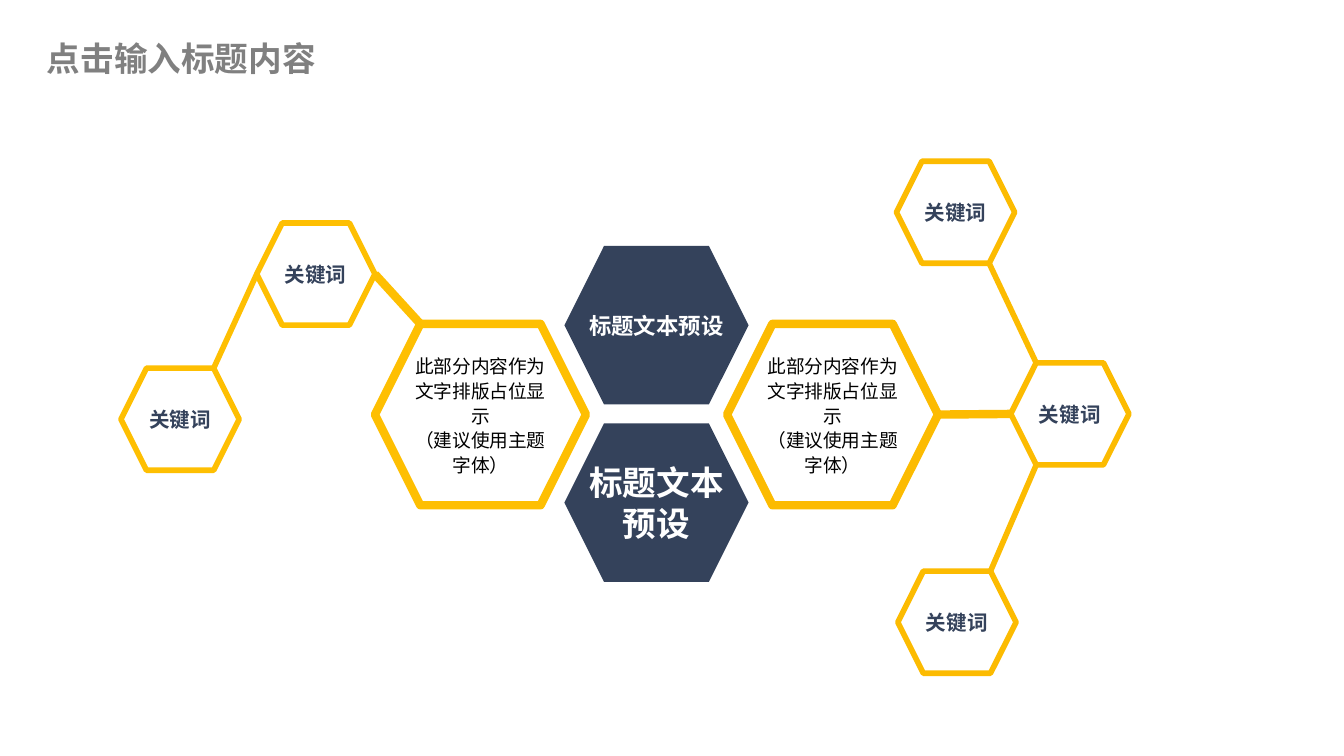
from typing import NamedTuple

from lxml import etree
from pptx import Presentation
from pptx import util as u
from pptx.dml.color import RGBColor
from pptx.enum import shapes, text
from pptx.oxml.ns import qn

WIDE, HIGH = 10, 5.625
HEX = {"navy": "34425B", "gold": "FEBF02", "amber": "FCBB01",
       "white": "FFFFFF", "black": "000000", "grey": "808080"}
NOTE = "此部分内容作为文字排版占位显示\n（建议使用主题字体）"
WORD = "关键词"


class Style(NamedTuple):
    """Size is a percentage of the slide; pad is left, top, right, bottom in inches."""
    wide: float
    high: float
    fill: str | None
    ink: str
    font: dict
    edge: float = 0
    wrap: bool = False
    pad: tuple = (0, 0, 0, 0)
    lead: float | None = None
    align: text.PP_ALIGN = text.PP_ALIGN.CENTER


class Cell(NamedTuple):
    """Left and top are percentages of the slide."""
    left: float
    top: float
    label: str
    style: Style
    edge: str = "gold"


class Link(NamedTuple):
    """Joins a corner of one cell to a corner of another."""
    start: str
    exit: str
    end: str
    entry: str
    width: float


def face(size: float, bold: bool = True, name: str = "Calibri") -> dict:
    return {"size": u.Pt(size), "bold": bold, "name": name}


HEAD = Style(13.7, 20.98, "navy", "white", face(12), pad=(0.1, 0.05, 0.1, 0.05))
LEAD = HEAD._replace(font=face(18), pad=(0, 0, 0, 0))
BODY = Style(15.7, 24, "white", "black", face(10, False), 4.5, wrap=True, lead=1.1)
KEY = Style(8.8, 13.51, "white", "navy", face(11), 3)
TITLE = Style(23.3, 7.47, None, "grey", face(18, name="Noto Sans CJK SC"), wrap=True,
              pad=(0, 0.05, 0, 0.05), align=text.PP_ALIGN.LEFT)

CELLS = {
    "upper": Cell(42, 32.53, "标题文本预设", HEAD),
    "lower": Cell(42, 56, "标题文本\n预设", LEAD),
    "west": Cell(27.9, 42.84, NOTE, BODY),
    "near": Cell(19.1, 29.51, WORD, KEY),
    "far": Cell(9, 48.71, WORD, KEY),
    "east": Cell(54.1, 42.84, NOTE, BODY, "amber"),
    "hub": Cell(75.2, 48, WORD, KEY, "amber"),
    "top": Cell(66.7, 21.33, WORD, KEY, "amber"),
    "base": Cell(66.8, 75.56, WORD, KEY, "amber"),
}
LINKS = [
    Link("far", "top right", "near", "left", 3),
    Link("near", "right", "west", "top left", 4.5),
    Link("east", "right", "hub", "left", 4.5),
    Link("top", "low right", "hub", "top left", 3),
    Link("base", "top right", "hub", "low left", 3),
]


def color(name: str) -> RGBColor:
    return RGBColor.from_string(HEX[name])


def across(share: float) -> u.Emu:
    return u.Inches(WIDE * share / 100)


def down(share: float) -> u.Emu:
    return u.Inches(HIGH * share / 100)


def frame(cell: Cell) -> tuple:
    return (across(cell.left), down(cell.top),
            across(cell.style.wide), down(cell.style.high))


def corner(cell: Cell, place: str) -> tuple:
    """Find a hexagon corner; its flat sides start a quarter of the height in."""
    left, top, wide, high = frame(cell)
    inset = high // 4 if " " in place else 0
    x = left + inset if place.endswith("left") else left + wide - inset
    y = top + {"top": 0, "low": high}.get(place.split()[0], high // 2)
    return x, y


def write(shape, label: str, style: Style) -> None:
    box = shape.text_frame
    sides = ("margin_left", "margin_top", "margin_right", "margin_bottom")
    form = dict(zip(sides, map(u.Inches, style.pad)))
    form |= {"word_wrap": style.wrap, "vertical_anchor": text.MSO_ANCHOR.MIDDLE}
    for key, value in form.items():
        setattr(box, key, value)
    para = box.paragraphs[0]
    para.text = label
    para.alignment = style.align
    para.line_spacing = style.lead
    for run in para.runs:
        for key, value in style.font.items():
            setattr(run.font, key, value)
        run.font.color.rgb = color(style.ink)
    for gap in para._p.findall(qn("a:br")):
        size = int(style.font["size"].pt * 100)
        etree.SubElement(gap, qn("a:rPr"), sz=str(size))


def draw(tree, cell: Cell) -> None:
    style = cell.style
    shape = tree.add_shape(shapes.MSO_SHAPE.HEXAGON, *frame(cell))
    shape.shadow.inherit = False
    shape.fill.solid()
    shape.fill.fore_color.rgb = color(style.fill)
    if style.edge:
        shape.line.color.rgb = color(cell.edge)
        shape.line.width = u.Pt(style.edge)
    else:
        shape.line.fill.background()
    write(shape, cell.label, style)


def join(tree, link: Link) -> None:
    start, end = CELLS[link.start], CELLS[link.end]
    line = tree.add_connector(shapes.MSO_CONNECTOR.STRAIGHT,
                              *corner(start, link.exit), *corner(end, link.entry))
    line.line.color.rgb = color(start.edge)
    line.line.width = u.Pt(link.width)
    etree.SubElement(line._element.spPr, qn("a:effectLst"))


def main() -> None:
    deck = Presentation()
    deck.slide_width, deck.slide_height = u.Inches(WIDE), u.Inches(HIGH)
    tree = deck.slides.add_slide(deck.slide_layouts[6]).shapes
    for cell in CELLS.values():
        draw(tree, cell)
    for link in LINKS:
        join(tree, link)
    title = Cell(3.5, 3.91, "点击输入标题内容", TITLE)
    write(tree.add_textbox(*frame(title)), title.label, TITLE)
    deck.save("out.pptx")


if __name__ == "__main__":
    main()
